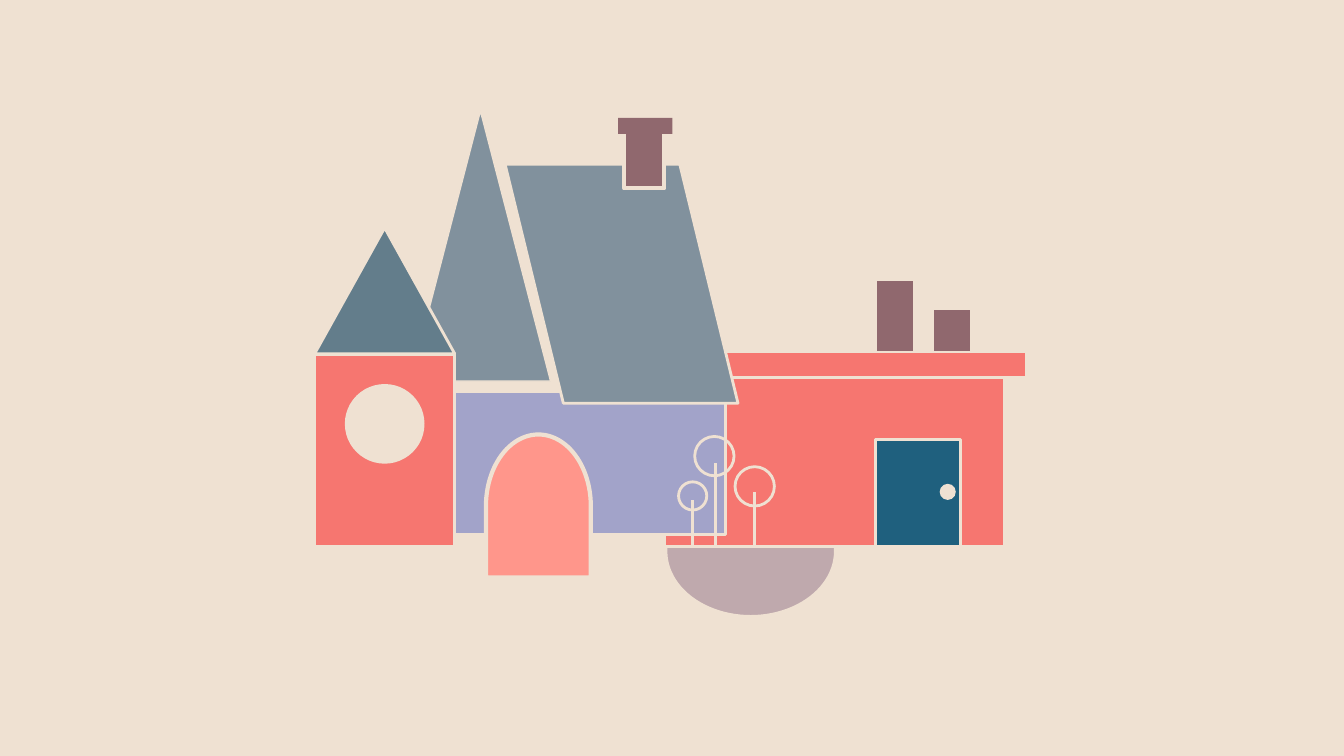
from dataclasses import dataclass

from lxml.etree import SubElement
from pptx import Presentation
from pptx.dml.color import RGBColor
from pptx.enum.shapes import MSO_CONNECTOR, MSO_SHAPE
from pptx.oxml.ns import qn
from pptx.util import Inches, Pt


@dataclass(frozen=True)
class Theme:
    """Colours and line widths of the village scene."""
    cream: str = "EFE1D2"
    coral: str = "F67670"
    salmon: str = "FF968B"
    lilac: str = "A2A3C9"
    slate: str = "81919D"
    dark_slate: str = "637D8B"
    brick: str = "90686E"
    mauve: str = "BFA9AD"
    navy: str = "1F607E"
    thin: float = 1
    medium: float = 2
    thick: float = 3


THEME = Theme()


def set_line(line, width):
    """Draw a cream line of the given width."""
    line.color.rgb = RGBColor.from_string(THEME.cream)
    line.width = Pt(width)


def add_piece(slide, kind, box, fill=None, width=None, rotation=0, flip=False):
    """Add a preset shape, filled and outlined where asked."""
    sp = slide.shapes.add_shape(kind, *map(Inches, box))
    sp.shadow.inherit = False
    sp.rotation = rotation
    if flip:
        sp._element.spPr.get_or_add_xfrm().set("flipH", "1")
    if fill:
        sp.fill.solid()
        sp.fill.fore_color.rgb = RGBColor.from_string(fill)
    else:
        sp.fill.background()
    if width:
        set_line(sp.line, width)
    else:
        sp.line.fill.background()
    return sp


def add_tree(slide, trunk_x, trunk_top, left, top, size):
    """Add a trunk rising from the planter and its round crown."""
    ends = (trunk_x, 5.43, trunk_x, trunk_top)
    trunk = slide.shapes.add_connector(MSO_CONNECTOR.STRAIGHT, *map(Inches, ends))
    set_line(trunk.line, THEME.medium)
    SubElement(trunk._element.spPr, qn("a:effectLst"))
    add_piece(slide, MSO_SHAPE.OVAL, (left, top, size, size), width=THEME.medium)


def add_chimney(slide, left, top, height):
    """Add a brick chimney."""
    add_piece(slide, MSO_SHAPE.RECTANGLE, (left, top, 0.4, height), THEME.brick, THEME.thick)


def add_annex(slide):
    """Add the planter and the flat-roofed building behind the house."""
    add_piece(slide, MSO_SHAPE.FLOWCHART_DELAY, (6.8, 4.63, 1.29, 1.68),
              THEME.mauve, THEME.medium, rotation=90)
    add_chimney(slide, 8.68, 2.77, 0.87)
    add_chimney(slide, 9.24, 3.06, 0.56)
    add_piece(slide, MSO_SHAPE.RECTANGLE, (6.8, 3.49, 3.37, 0.25), THEME.coral, THEME.thin)
    add_piece(slide, MSO_SHAPE.RECTANGLE, (6.59, 3.75, 3.37, 1.67), THEME.coral, THEME.medium)


def add_house(slide):
    """Add the lilac house with its tower, roofs, arch and chimney."""
    rect, triangle = MSO_SHAPE.RECTANGLE, MSO_SHAPE.ISOSCELES_TRIANGLE
    add_piece(slide, rect, (3.96, 3.88, 3.24, 1.42), THEME.lilac, THEME.medium)
    add_piece(slide, triangle, (4.07, 1.1, 1.39, 2.68), THEME.slate, THEME.thin)
    add_piece(slide, rect, (3.12, 3.52, 1.39, 1.9), THEME.coral, THEME.medium)
    add_piece(slide, triangle, (3.12, 2.26, 1.39, 1.25), THEME.dark_slate, THEME.medium)
    add_piece(slide, MSO_SHAPE.PARALLELOGRAM, (5.01, 1.63, 2.31, 2.37),
              THEME.slate, THEME.medium, flip=True)
    add_piece(slide, MSO_SHAPE.FLOWCHART_DELAY, (4.63, 4.5, 1.42, 1.04),
              THEME.salmon, THEME.thick, rotation=270)
    add_piece(slide, MSO_SHAPE.OVAL, (3.42, 3.81, 0.79, 0.79), THEME.cream)
    add_chimney(slide, 6.19, 1.31, 0.56)
    add_piece(slide, rect, (6.13, 1.17, 0.54, 0.16), THEME.brick)


def add_door(slide):
    """Add the annex door and its knob."""
    add_piece(slide, MSO_SHAPE.RECTANGLE, (8.68, 4.36, 0.85, 1.06), THEME.navy, THEME.medium)
    add_piece(slide, MSO_SHAPE.OVAL, (9.32, 4.8, 0.16, 0.16), THEME.cream)


def main():
    """Build the slide and save it."""
    prs = Presentation()
    prs.slide_width, prs.slide_height = Inches(13.33), Inches(7.5)
    s = prs.slides.add_slide(prs.slide_layouts[6])
    s.background.fill.solid()
    s.background.fill.fore_color.rgb = RGBColor.from_string(THEME.cream)
    add_annex(s)
    add_house(s)
    add_door(s)
    for tree in ((7.48, 4.88, 7.29, 4.63, 0.39),
                 (7.1, 4.59, 6.89, 4.33, 0.39),
                 (6.87, 4.96, 6.73, 4.78, 0.28)):
        add_tree(s, *tree)
    prs.save("out.pptx")


if __name__ == "__main__":
    main()
